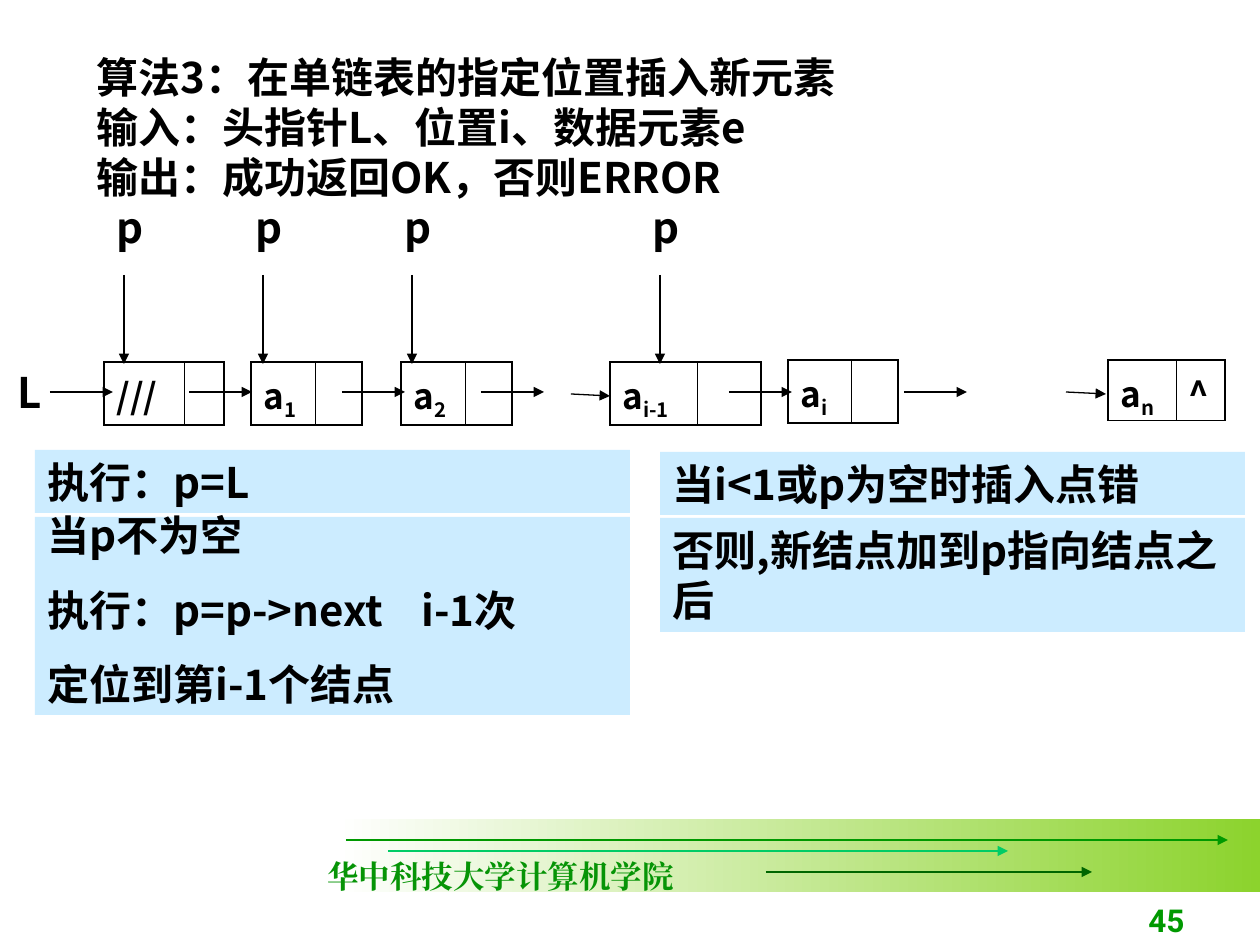
from lxml import etree
from pptx import Presentation
from pptx.dml.color import RGBColor
from pptx.enum.shapes import MSO_CONNECTOR, MSO_SHAPE
from pptx.enum.text import MSO_ANCHOR, PP_ALIGN
from pptx.oxml.ns import qn
from pptx.util import Pt

EMU_PER_PX = 914400 / 126
STRAIGHT = MSO_CONNECTOR.STRAIGHT
RECTANGLE = MSO_SHAPE.RECTANGLE
TOP, BOTTOM = MSO_ANCHOR.TOP, MSO_ANCHOR.BOTTOM
LEFT, RIGHT = PP_ALIGN.LEFT, PP_ALIGN.RIGHT

BLACK = RGBColor(0x00, 0x00, 0x00)
WHITE = RGBColor(0xFF, 0xFF, 0xFF)
PALE_BLUE = RGBColor(0xCC, 0xEC, 0xFF)
LIME = RGBColor(0x8C, 0xD3, 0x2D)
GREEN = RGBColor(0x00, 0x99, 0x00)
MINT = RGBColor(0x00, 0xCC, 0x66)
DARK_GREEN = RGBColor(0x00, 0x66, 0x00)
SCHOOL_GREEN = RGBColor(0x06, 0x94, 0x06)

BODY_FONT = "Noto Sans CJK SC"


def px(length):
    return round(length * EMU_PER_PX)


class ListSlide:
    OUTER, INNER = 1.08, 0.45

    def __init__(self, slide):
        self.slide = slide

    def style(self, paragraph, size=24, color=BLACK, name=BODY_FONT):
        font = paragraph.font
        font.size, font.bold, font.name = Pt(size), True, name
        font.color.rgb = color
        etree.SubElement(font._element, qn("a:ea"), typeface=name)

    def fill_text(self, frame, lines, align=LEFT, anchor=TOP, wrap=True,
                  spacing=None, before=0, tab=None, **font):
        frame.word_wrap = wrap
        frame.vertical_anchor = anchor
        for index, line in enumerate(lines):
            paragraph = frame.add_paragraph() if index else frame.paragraphs[0]
            paragraph.text = line
            paragraph.alignment = align
            if spacing:
                paragraph.line_spacing = spacing
            if index and before:
                paragraph.space_before = Pt(before)
            if tab and "\t" in line:
                stops = etree.SubElement(paragraph._p.get_or_add_pPr(), qn("a:tabLst"))
                etree.SubElement(stops, qn("a:tab"), pos=str(px(tab)), algn="l")
            self.style(paragraph, **font)

    def text(self, x, y, w, h, *lines, **options):
        box = self.slide.shapes.add_textbox(px(x), px(y), px(w), px(h))
        self.fill_text(box.text_frame, lines, **options)

    def rectangle(self, x, y, w, h):
        shape = self.slide.shapes.add_shape(RECTANGLE, px(x), px(y), px(w), px(h))
        shape.shadow.inherit = False
        shape.line.fill.background()
        return shape

    def note(self, x, y, w, h, *lines, **options):
        panel = self.rectangle(x, y, w, h)
        panel.fill.solid()
        panel.fill.fore_color.rgb = PALE_BLUE
        self.fill_text(panel.text_frame, lines, **options)

    def gradient_band(self, x, y, w, h, *colors):
        fill = self.rectangle(x, y, w, h).fill
        fill.gradient()
        fill.gradient_angle = 0
        for stop, color in zip(fill.gradient_stops, colors):
            stop.color.rgb = color

    def arrow(self, x1, y1, x2, y2, color=BLACK):
        connector = self.slide.shapes.add_connector(STRAIGHT, px(x1), px(y1), px(x2), px(y2))
        connector.line.color.rgb = color
        connector.line.width = Pt(0.75)
        properties = connector._element.spPr
        etree.SubElement(properties.find(qn("a:ln")), qn("a:tailEnd"), type="triangle")
        etree.SubElement(properties, qn("a:effectLst"))

    def borders(self, cell, **widths):
        properties = cell._tc.get_or_add_tcPr()
        for side in "LRTB":
            width = Pt(widths.get(side, self.OUTER))
            edge = etree.SubElement(properties, qn(f"a:ln{side}"), w=str(int(width)))
            solid = etree.SubElement(edge, qn("a:solidFill"))
            etree.SubElement(solid, qn("a:srgbClr"), val=str(BLACK))

    def node(self, x, y, data_width, link_width, data, index="", link="", height=63):
        """Draw a list node: a data cell with a subscript, then a link cell."""
        frame = self.slide.shapes.add_table(
            1, 2, px(x), px(y), px(data_width + link_width), px(height))
        table = frame.table
        table.first_row = table.horz_banding = False
        table.columns[0].width, table.columns[1].width = px(data_width), px(link_width)
        data_cell, link_cell = table.cell(0, 0), table.cell(0, 1)
        self.borders(data_cell, R=self.INNER)
        self.borders(link_cell, L=self.INNER)
        for cell, content in ((data_cell, data), (link_cell, link)):
            cell.fill.background()
            paragraph = cell.text_frame.paragraphs[0]
            paragraph.text = content
            self.style(paragraph, size=20)
        if index:
            subscript = data_cell.text_frame.paragraphs[0].add_run()
            subscript.text = index
            subscript._r.get_or_add_rPr().set("baseline", "-25000")


def main():
    deck = Presentation()
    deck.slide_width, deck.slide_height = px(1260), px(945)
    page = ListSlide(deck.slides.add_slide(deck.slide_layouts[6]))

    page.gradient_band(336, 819, 924, 73, WHITE, LIME)
    for x1, x2, y, color in ((346, 1228, 840, GREEN), (388, 1008, 851, MINT),
                             (766, 1092, 872, DARK_GREEN)):
        page.arrow(x1, y, x2, y, color)
    page.text(315, 851, 372, 50, "华中科技大学计算机学院", wrap=False,
              size=18, color=SCHOOL_GREEN, name="Times New Roman")
    page.text(935, 882, 262, 63, "45", align=RIGHT, anchor=BOTTOM,
              size=18, color=GREEN, name="Roboto")

    page.node(104, 362, 80, 40, "///")
    page.node(251, 362, 64, 47, "a", "1")
    page.node(401, 362, 64, 47, "a", "2")
    page.node(610, 362, 87, 64, "a", "i-1")
    page.node(788, 360, 63, 47, "a", "i")
    page.node(1108, 360, 68, 49, "a", "n", link="^", height=60)

    page.text(5, 360, 49, 63, "L")
    for start in (50, 189, 342, 481, 729, 904):
        page.arrow(start, 392, start + 63, 392)
    page.arrow(571, 394, 610, 396)
    page.arrow(1066, 392, 1106, 394)

    for left in (104, 243, 392, 640):
        page.text(left, 195, 49, 63, "p")
        page.arrow(left + 20, 275, left + 20, 364)

    page.note(35, 450, 595, 63, "执行：p=L")
    page.note(35, 517, 595, 198, "当p不为空", "执行：p=p->next\ti-1次", "定位到第i-1个结点",
              spacing=0.7, before=22.5, tab=374)
    page.note(660, 452, 585, 63, "当i<1或p为空时插入点错")
    page.note(660, 518, 585, 114, "否则,新结点加到p指向结点之后")

    page.text(84, 45, 1022, 241, "算法3：在单链表的指定位置插入新元素",
              "输入：头指针L、位置i、数据元素e", "输出：成功返回OK，否则ERROR")

    deck.save("out.pptx")


if __name__ == "__main__":
    main()
